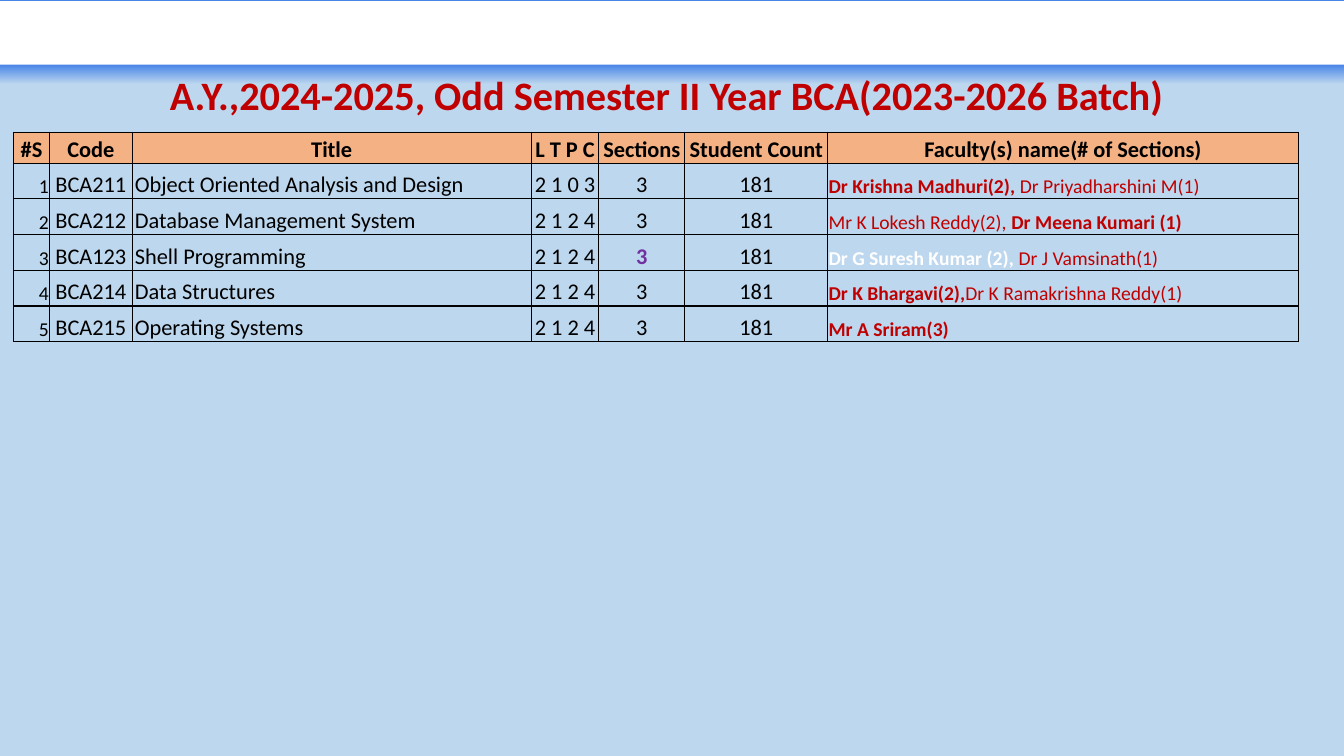
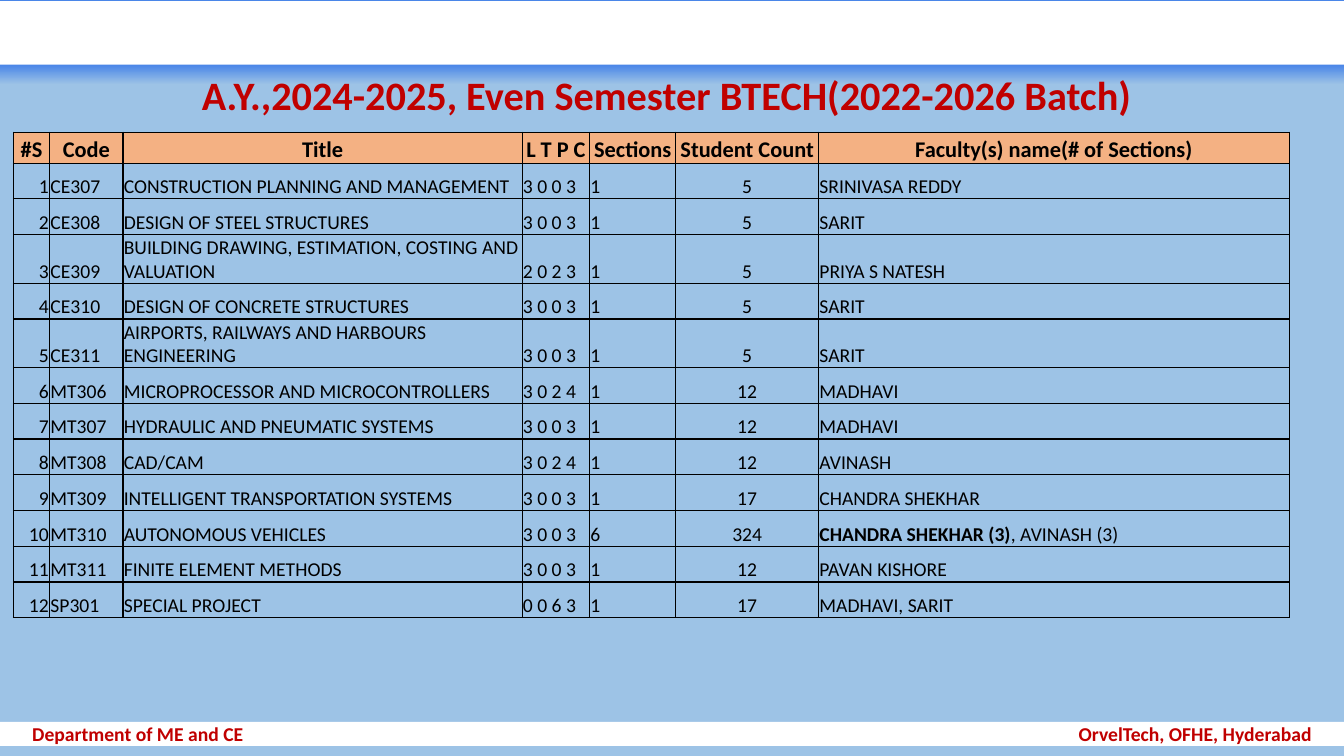
from lxml import etree
from pptx import Presentation
from pptx.dml.color import RGBColor
from pptx.enum.shapes import MSO_SHAPE
from pptx.enum.text import MSO_ANCHOR, PP_ALIGN
from pptx.oxml import parse_xml
from pptx.oxml.ns import nsdecls
from pptx.util import Cm, Pt

RECT = MSO_SHAPE.RECTANGLE
MIDDLE, BOTTOM = MSO_ANCHOR.MIDDLE, MSO_ANCHOR.BOTTOM
LEFT, CENTER, RIGHT = PP_ALIGN.LEFT, PP_ALIGN.CENTER, PP_ALIGN.RIGHT

COLORS = {
    "sky": "BDD7EE", "steel": "9DC3E6", "blue": "4A86E8", "white": "FFFFFF",
    "red": "C00000", "black": "000000", "orange": "F4B183", "purple": "7030A0",
}
WIDTH, HEIGHT = 33.87, 19.05
HEADER_H, ROW_H = 0.78, 0.9
HEADINGS = ["#S", "Code", "Title", "L T P C", "Sections", "Student Count",
            "Faculty(s) name(# of Sections)"]
TIGHT, ROOMY = 0.02, 0.07


def rgb(name):
    return RGBColor.from_string(COLORS[name])


def apply(obj, fmt):
    for name, value in fmt.items():
        setattr(obj, name, value)


class Deck:
    """Holds the presentation, its style and the current slide."""

    def __init__(self):
        self.prs = Presentation()
        apply(self.prs, {"slide_width": Cm(WIDTH), "slide_height": Cm(HEIGHT)})
        self.slide = None

    def new_slide(self, title, back):
        self.slide = self.prs.slides.add_slide(self.prs.slide_layouts[6])
        fill = self.slide.background.fill
        fill.solid()
        fill.fore_color.rgb = rgb(back)
        self.glow(back)
        self.text(title, 0.25, 1.78, 33.35, 1.37, CENTER, 28.8, 0.9)
        self.band(0.03, 1.6)

    def band(self, top, height):
        sp = self.slide.shapes.add_shape(RECT, 0, Cm(top), Cm(WIDTH), Cm(height))
        sp.shadow.inherit = False
        sp.fill.solid()
        sp.fill.fore_color.rgb = rgb("white")
        sp.line.fill.background()
        return sp

    def glow(self, back):
        """Blue strip behind the top band that fades into the background."""
        sp = self.band(0, 2.13)
        sp.fill.gradient()
        sp.fill.gradient_angle = 270
        for stop, color, at in zip(sp.fill.gradient_stops, ("blue", back), (0.77, 1)):
            stop.color.rgb = rgb(color)
            stop.position = at

    def text(self, text, left, top, width, height, align, size, spacing=1.0):
        sp = self.slide.shapes.add_textbox(Cm(left), Cm(top), Cm(width), Cm(height))
        tf = sp.text_frame
        apply(tf, {"word_wrap": True, "vertical_anchor": MIDDLE, "margin_left": 0,
                   "margin_right": 0, "margin_top": 0, "margin_bottom": 0})
        tf.paragraphs[0].line_spacing = spacing
        self.runs(tf.paragraphs[0], [(text, True, "red")], align, size)

    def runs(self, p, parts, align, size):
        """Fill a paragraph from (text, bold, colour) parts."""
        p.alignment = align
        for text, bold, color in parts:
            r = p.add_run()
            r.text = text
            apply(r.font, {"name": "Calibri", "size": Pt(size), "bold": bold})
            r.font.color.rgb = rgb(color)

    def cell(self, cell, value, align, size, margin, bold=False, fill=None):
        parts = [(value, bold, "black")] if isinstance(value, str) else value
        apply(cell, {"vertical_anchor": BOTTOM, "margin_left": Cm(margin),
                     "margin_right": Cm(margin), "margin_top": Cm(0.04),
                     "margin_bottom": 0})
        self.runs(cell.text_frame.paragraphs[0], parts, align, size)
        self.borders(cell)
        if fill:
            cell.fill.solid()
            cell.fill.fore_color.rgb = rgb(fill)
        else:
            cell.fill.background()

    def borders(self, cell):
        tc_pr = cell._tc.get_or_add_tcPr()
        for side in ("lnL", "lnR", "lnT", "lnB"):
            ln = parse_xml(f'<a:{side} {nsdecls("a")} w="{Pt(1)}"><a:solidFill/></a:{side}>')
            etree.SubElement(ln[0], ln[0].tag.replace("solidFill", "srgbClr"),
                             val=COLORS["black"])
            tc_pr.append(ln)

    def table(self, rows, code_width, styles):
        """Draw numbered rows; styles gives (align, size, margin) per column."""
        widths = [0.91, code_width, 10.06, 1.7, 2.17, 3.6, 11.86]
        heights = [HEADER_H] + [ROW_H] * len(rows)
        frame = self.slide.shapes.add_table(
            len(heights), len(widths), Cm(0.34), Cm(3.33),
            Cm(sum(widths)), Cm(sum(heights)))
        tbl = frame.table
        for col, width in zip(tbl.columns, widths):
            col.width = Cm(width)
        for row, height in zip(tbl.rows, heights):
            row.height = Cm(height)
        for c, heading in enumerate(HEADINGS):
            self.cell(tbl.cell(0, c), heading, CENTER, 16, TIGHT, True, "orange")
        for n, row in enumerate(rows, 1):
            for c, (value, style) in enumerate(zip((str(n), *row), styles)):
                self.cell(tbl.cell(n, c), value, *style)

    def footer(self, left, right):
        top, height, inset = 18.19, 0.61, 0.81
        self.band(top, height)
        half = WIDTH / 2 - inset
        self.text(left, inset, top, half, height, LEFT, 14)
        self.text(right, WIDTH / 2, top, half, height, RIGHT, 14)


def red(text, bold=False):
    return text, bold, "red"


BCA_STYLES = [
    (RIGHT, 14, TIGHT), (CENTER, 16, ROOMY), (LEFT, 16, ROOMY), (CENTER, 16, ROOMY),
    (CENTER, 16, ROOMY), (CENTER, 16, TIGHT), (LEFT, 14, TIGHT),
]
BCA_ROWS = [
    ("BCA211", "Object Oriented Analysis and Design", "2 1 0 3", "3", "181",
     [red("Dr Krishna Madhuri(2), ", True), red("Dr Priyadharshini M(1)")]),
    ("BCA212", "Database Management System", "2 1 2 4", "3", "181",
     [red("Mr K Lokesh Reddy(2), "), red("Dr Meena Kumari (1)", True)]),
    ("BCA123", "Shell Programming", "2 1 2 4", [("3", True, "purple")], "181",
     [("Dr G Suresh Kumar (2), ", True, "white"), red("Dr J Vamsinath(1)")]),
    ("BCA214", "Data Structures", "2 1 2 4", "3", "181",
     [red("Dr K Bhargavi(2),", True), red("Dr K Ramakrishna Reddy(1)")]),
    ("BCA215", "Operating Systems", "2 1 2 4", "3", "181",
     [red("Mr A Sriram(3)", True)]),
]

BTECH_STYLES = [(align, 14, TIGHT)
                for align in (RIGHT, LEFT, LEFT, LEFT, LEFT, CENTER, LEFT)]
BTECH_ROWS = [
    ("CE307", "CONSTRUCTION PLANNING AND MANAGEMENT", "3 0 0 3", "1", "5",
     "SRINIVASA REDDY"),
    ("CE308", "DESIGN OF STEEL STRUCTURES", "3 0 0 3", "1", "5", "SARIT"),
    ("CE309", "BUILDING DRAWING, ESTIMATION, COSTING AND VALUATION", "2 0 2 3", "1",
     "5", "PRIYA S NATESH"),
    ("CE310", "DESIGN OF CONCRETE STRUCTURES", "3 0 0 3", "1", "5", "SARIT"),
    ("CE311", "AIRPORTS, RAILWAYS AND HARBOURS ENGINEERING", "3 0 0 3", "1", "5",
     "SARIT"),
    ("MT306", "MICROPROCESSOR AND MICROCONTROLLERS", "3 0 2 4", "1", "12", "MADHAVI"),
    ("MT307", "HYDRAULIC AND PNEUMATIC SYSTEMS", "3 0 0 3", "1", "12", "MADHAVI"),
    ("MT308", "CAD/CAM", "3 0 2 4", "1", "12", "AVINASH"),
    ("MT309", "INTELLIGENT TRANSPORTATION SYSTEMS", "3 0 0 3", "1", "17",
     "CHANDRA SHEKHAR"),
    ("MT310", "AUTONOMOUS VEHICLES", "3 0 0 3", "6", "324",
     [("CHANDRA SHEKHAR (3)", True, "black"), (", AVINASH (3)", False, "black")]),
    ("MT311", "FINITE ELEMENT METHODS", "3 0 0 3", "1", "12", "PAVAN KISHORE"),
    ("SP301", "SPECIAL PROJECT", "0 0 6 3", "1", "17", "MADHAVI, SARIT"),
]


def main():
    deck = Deck()
    deck.new_slide("A.Y.,2024-2025, Odd Semester II Year BCA(2023-2026 Batch) ", "sky")
    deck.table(BCA_ROWS, 2.08, BCA_STYLES)

    deck.new_slide("A.Y.,2024-2025, Even Semester BTECH(2022-2026 Batch) ", "steel")
    deck.table(BTECH_ROWS, 1.85, BTECH_STYLES)
    deck.footer("Department of ME and CE", "OrvelTech, OFHE, Hyderabad")
    deck.prs.save("out.pptx")


if __name__ == "__main__":
    main()
